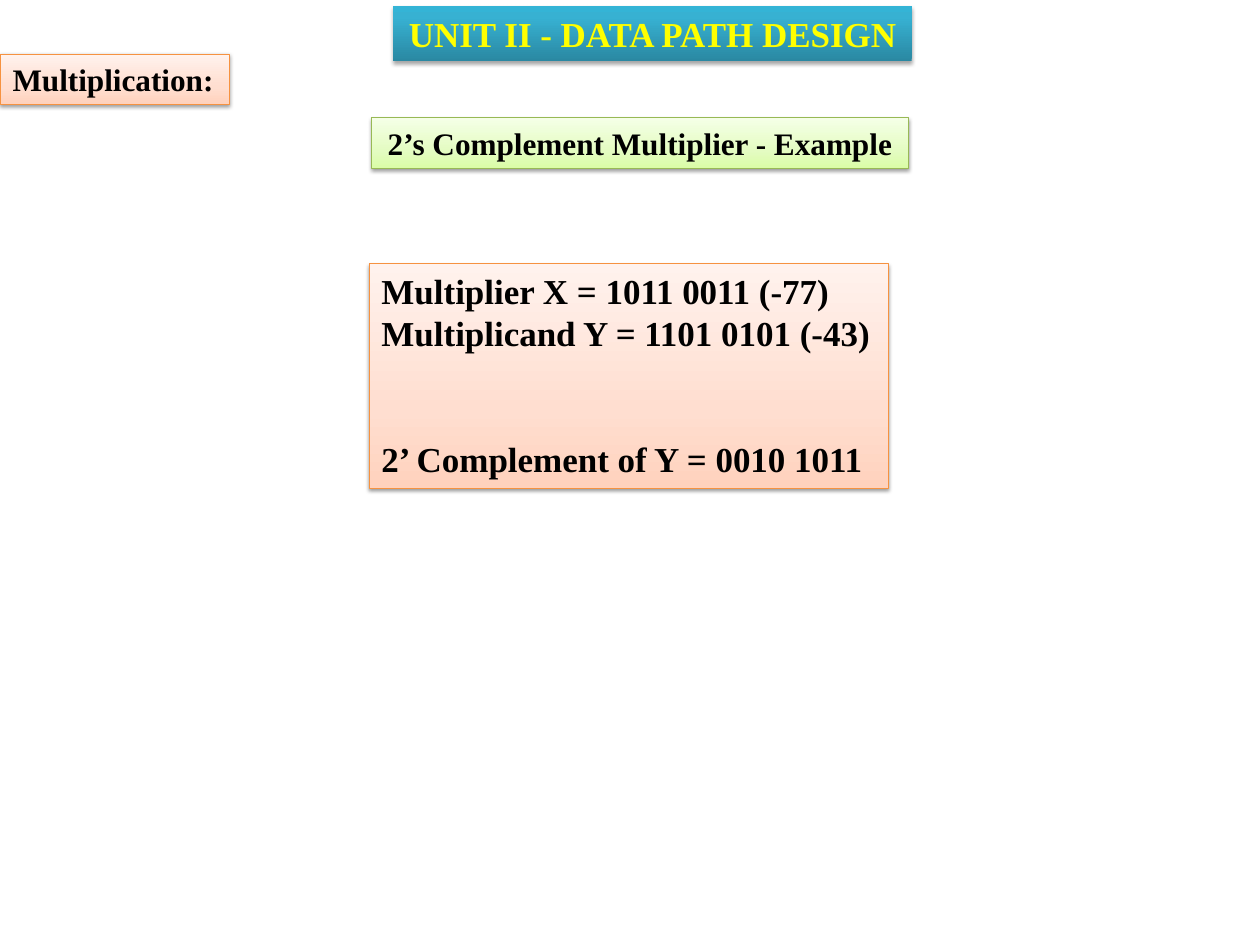
"""Build the 2's complement multiplier example slide."""
from pptx import Presentation
from pptx.dml.color import RGBColor
from pptx.enum.shapes import MSO_SHAPE
from pptx.enum.text import MSO_ANCHOR, MSO_AUTO_SIZE, PP_ALIGN
from pptx.oxml import parse_xml
from pptx.oxml.ns import nsdecls, qn
from pptx.util import Pt

RECT = MSO_SHAPE.RECTANGLE
TOP = MSO_ANCHOR.TOP
FIXED = MSO_AUTO_SIZE.NONE
LEFT, CENTER = PP_ALIGN.LEFT, PP_ALIGN.CENTER

COLORS = {
    "black": "000000",
    "yellow": "FFFF00",
    "orange_line": "F69240",
    "green_line": "98B955",
}
GRADIENTS = {
    "orange": [(0, "FFD2BD"), (35, "FFDED0"), (100, "FFF2ED")],
    "green": [(0, "DAFDA7"), (35, "E4FCC2"), (100, "F5FFE7")],
    "teal": [(0, "2A88A2"), (80, "37B1D2"), (100, "34B4D6")],
}
FRAME = {
    "margin_left": Pt(10), "margin_right": Pt(10),
    "margin_top": Pt(5), "margin_bottom": Pt(5),
    "word_wrap": True, "auto_size": FIXED, "vertical_anchor": TOP,
}


def set_attrs(obj, values):
    for name, value in values.items():
        setattr(obj, name, value)


def fill_gradient(sp, stops):
    sp.fill.gradient()
    sp.fill.gradient_angle = 90
    gs_list = sp._element.spPr.find(qn("a:gradFill")).find(qn("a:gsLst"))
    for gs in list(gs_list):
        gs_list.remove(gs)
    for pos, color in stops:
        gs_list.append(parse_xml(
            f'<a:gs {nsdecls("a")} pos="{pos * 1000}">'
            f'<a:srgbClr val="{color}"/></a:gs>'))


def add_shadow(sp, alpha, dist):
    sp.shadow.inherit = False
    sp._element.spPr.find(qn("a:effectLst")).append(parse_xml(
        f'<a:outerShdw {nsdecls("a")} blurRad="{Pt(3.1)}" dist="{Pt(dist)}" '
        f'dir="5400000" rotWithShape="0"><a:srgbClr val="{COLORS["black"]}">'
        f'<a:alpha val="{alpha * 1000}"/></a:srgbClr></a:outerShdw>'))


def write_lines(sp, lines, size, color, align, last_gap=0):
    tf = sp.text_frame
    set_attrs(tf, FRAME)
    tf.text = "\n".join(lines)
    for p in tf.paragraphs:
        set_attrs(p, {"alignment": align, "line_spacing": Pt(1.2 * size)})
        for r in p.runs:
            set_attrs(r.font, {"name": "Times New Roman", "size": Pt(size), "bold": True})
            r.font.color.rgb = RGBColor.from_string(COLORS[color])
    if last_gap:
        tf.paragraphs[-1].space_before = Pt(last_gap)


def add_title(s, text, box):
    sp = s.shapes.title
    set_attrs(sp, dict(zip(("left", "top", "width", "height"), map(Pt, box))))
    fill_gradient(sp, GRADIENTS["teal"])
    sp.line.fill.background()
    add_shadow(sp, 35, 1.8)
    write_lines(sp, [text], 28, "yellow", CENTER)


def add_panel(s, lines, box, theme, size, align=LEFT, last_gap=0):
    sp = s.shapes.add_shape(RECT, *map(Pt, box))
    fill_gradient(sp, GRADIENTS[theme])
    sp.line.color.rgb = RGBColor.from_string(COLORS[f"{theme}_line"])
    sp.line.width = Pt(0.75)
    add_shadow(sp, 38, 1.6)
    write_lines(sp, lines, size, "black", align, last_gap)


def main():
    prs = Presentation()
    set_attrs(prs, {"slide_width": Pt(1008), "slide_height": Pt(756)})
    s = prs.slides.add_slide(prs.slide_layouts[5])
    add_title(s, "UNIT II - DATA PATH DESIGN", (314.6, 5, 414.7, 44))
    add_panel(s, ["Multiplication:"], (0, 43.2, 183.6, 40.3), "orange", 25)
    add_panel(s, ["Multiplier X = 1011 0011 (-77)",
                  "Multiplicand Y = 1101 0101 (-43)",
                  "2’ Complement of Y = 0010 1011"],
              (295.2, 211, 415.4, 180), "orange", 28, last_gap=67.2)
    add_panel(s, ["2’s Complement Multiplier - Example"],
              (297.4, 94.3, 429.1, 40.3), "green", 25, CENTER)
    prs.save("out.pptx")


if __name__ == "__main__":
    main()
